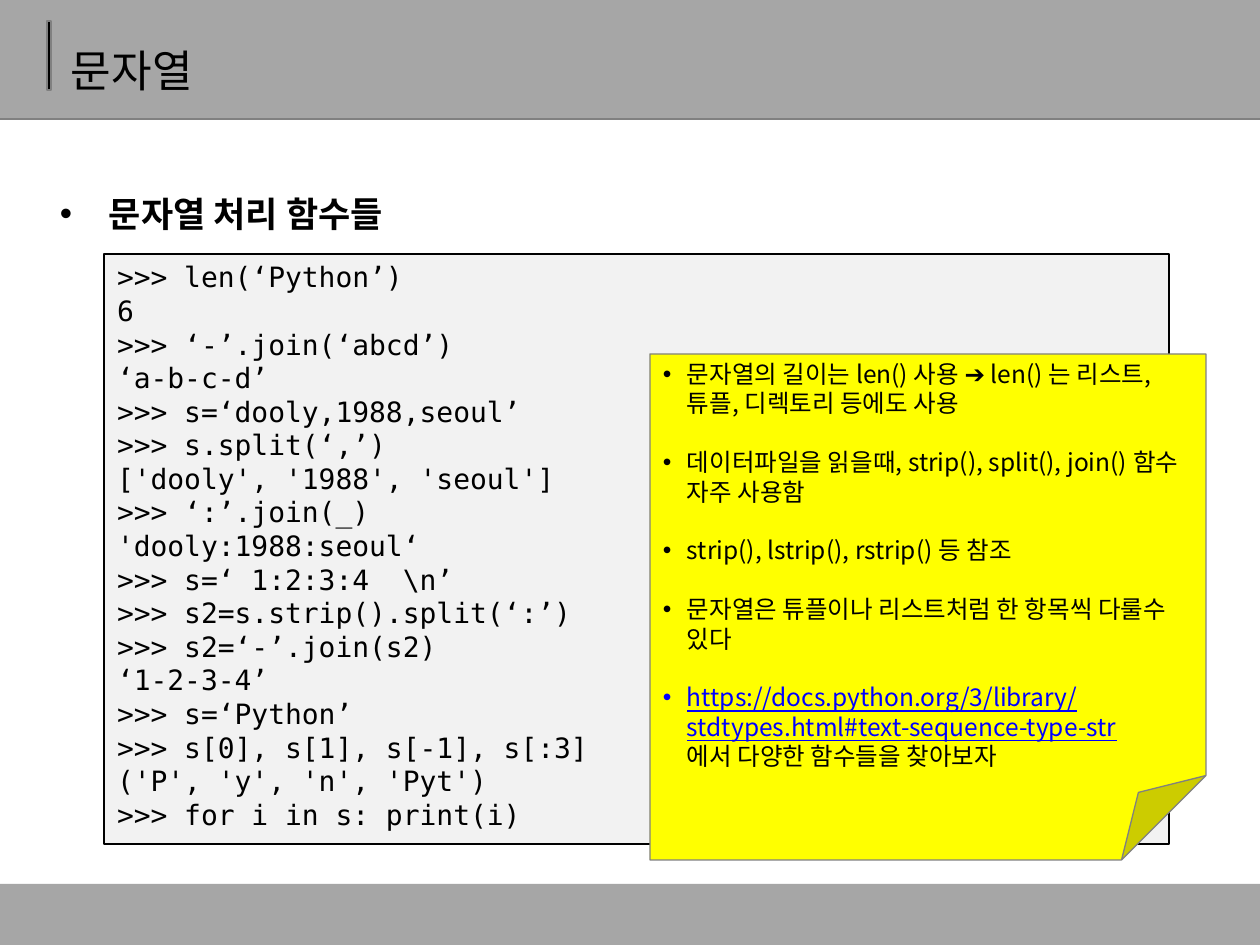
from dataclasses import dataclass
from typing import Optional

from lxml.etree import SubElement
from pptx import Presentation
from pptx.dml.color import RGBColor
from pptx.enum.shapes import MSO_CONNECTOR as Connector, MSO_SHAPE as Shape
from pptx.enum.text import MSO_ANCHOR as Anchor, PP_ALIGN as Align
from pptx.oxml.ns import qn
from pptx.util import Emu, Pt

BLACK = RGBColor(0x00, 0x00, 0x00)
WHITE = RGBColor(0xFF, 0xFF, 0xFF)
BAND_GRAY = RGBColor(0xA6, 0xA6, 0xA6)
LINE_GRAY = RGBColor(0x80, 0x80, 0x80)
CODE_GRAY = RGBColor(0xF2, 0xF2, 0xF2)
YELLOW = RGBColor(0xFF, 0xFF, 0x00)
LINK_BLUE = RGBColor(0x00, 0x00, 0xFF)

SANS = "Noto Sans CJK KR"
MONO = "DejaVu Sans Mono"
PX_PER_INCH = 126


@dataclass(frozen=True)
class Area:
    left: int
    top: int
    width: int
    height: int


@dataclass(frozen=True)
class Panel:
    kind: Shape
    area: Area
    fill: RGBColor
    line: Optional[RGBColor] = None


@dataclass(frozen=True)
class Style:
    font: str
    size: float
    spacing: float  # line height in points
    indent: int = 0  # hanging indent in px, with a bullet when set
    bold: bool = False


TITLE = Style(SANS, 25.2, 45)
HEADING = Style(SANS, 20, 48, indent=49, bold=True)
CODE = Style(MONO, 16, 19.2)
NOTE = Style(SANS, 14, 16.8, indent=24)

HEADER = Panel(Shape.RECTANGLE, Area(0, -1, 1260, 120), BAND_GRAY)
TITLE_BAR = Panel(Shape.RECTANGLE, Area(47, 21, 4, 69), BLACK, LINE_GRAY)
FOOTER = Panel(Shape.RECTANGLE, Area(0, 884, 1260, 61), BAND_GRAY)
CODE_PANEL = Panel(Shape.RECTANGLE, Area(104, 254, 1065, 590), CODE_GRAY, BLACK)
NOTE_PANEL = Panel(Shape.FOLDED_CORNER, Area(650, 354, 556, 506), YELLOW, LINE_GRAY)

CODE_LINES = [
    ">>> len(‘Python’)",
    "6",
    ">>> ‘-’.join(‘abcd’)",
    "‘a-b-c-d’",
    ">>> s=‘dooly,1988,seoul’",
    ">>> s.split(‘,’)",
    "['dooly', '1988', 'seoul']",
    ">>> ‘:’.join(_)",
    "'dooly:1988:seoul‘",
    ">>> s=‘ 1:2:3:4  \\n’",
    ">>> s2=s.strip().split(‘:’)",
    ">>> s2=‘-’.join(s2)",
    "‘1-2-3-4’",
    ">>> s=‘Python’",
    ">>> s[0], s[1], s[-1], s[:3]",
    "('P', 'y', 'n', 'Pyt')",
    ">>> for i in s: print(i)",
]
NOTE_LINES = [
    "문자열의 길이는 len() 사용 ➔ len() 는 리스트, 튜플, 디렉토리 등에도 사용",
    "데이터파일을 읽을때, strip(), split(), join() 함수 자주 사용함",
    "strip(), lstrip(), rstrip() 등 참조",
    "문자열은 튜플이나 리스트처럼 한 항목씩 다룰수 있다",
]
DOCS_URL = "https://docs.python.org/3/library/stdtypes.html#text-sequence-type-str"


def px(value: int) -> Emu:
    return Emu(round(value * 914400 / PX_PER_INCH))


def place(shape, area: Area) -> None:
    shape.left, shape.top = px(area.left), px(area.top)
    shape.width, shape.height = px(area.width), px(area.height)


def add_panel(page, panel: Panel):
    area = panel.area
    shape = page.shapes.add_shape(
        panel.kind, px(area.left), px(area.top), px(area.width), px(area.height))
    shape.shadow.inherit = False
    shape.fill.solid()
    shape.fill.fore_color.rgb = panel.fill
    if panel.line is None:
        shape.line.fill.background()
    else:
        shape.line.color.rgb = panel.line
        shape.line.width = Pt(0.75)
    return shape


def add_rule(page, y: int, length: int) -> None:
    rule = page.shapes.add_connector(Connector.STRAIGHT, 0, px(y), px(length), px(y))
    rule.line.color.rgb = LINE_GRAY
    rule.line.width = Pt(0.75)
    SubElement(rule.element.spPr, qn("a:effectLst"))


def prepare_frame(shape, anchor: Anchor):
    frame = shape.text_frame
    frame.word_wrap = True
    frame.vertical_anchor = anchor
    frame.margin_left = frame.margin_right = px(13)
    frame.margin_top = frame.margin_bottom = px(6)
    return frame


def add_span(para, text: str, style: Style, color: RGBColor = BLACK,
             underline: bool = False) -> None:
    span = para.add_run()
    span.text = text
    font = span.font
    font.name, font.size, font.bold = style.font, Pt(style.size), style.bold
    font.color.rgb = color
    font.underline = underline
    # East Asian characters take the same font
    SubElement(span._r.get_or_add_rPr(), qn("a:ea"), typeface=style.font)


def format_para(para, style: Style, gap: float = 0) -> None:
    if style.indent:
        props = para._p.get_or_add_pPr()
        props.set("marL", str(px(style.indent)))
        props.set("indent", str(-px(style.indent)))
        SubElement(props, qn("a:buFont"), typeface="Arial")
        SubElement(props, qn("a:buChar"), char="•")
    para.alignment = Align.LEFT
    para.line_spacing = Pt(style.spacing)
    para.space_before = Pt(0)
    para.space_after = Pt(gap)


def add_paras(frame, lines: list[str], style: Style, gap: float = 0) -> None:
    for index, line in enumerate(lines):
        para = frame.add_paragraph() if index else frame.paragraphs[0]
        format_para(para, style, gap)
        add_span(para, line, style)


def main() -> None:
    deck = Presentation()
    deck.slide_width, deck.slide_height = px(1260), px(945)
    page = deck.slides.add_slide(deck.slide_layouts[5])
    page.background.fill.solid()
    page.background.fill.fore_color.rgb = WHITE

    # Header and footer bands
    add_panel(page, HEADER)
    add_rule(page, 119, 1260)
    add_panel(page, TITLE_BAR)
    add_panel(page, FOOTER)

    # Title, brought in front of the header band
    title = page.shapes.title
    place(title, Area(58, 18, 1086, 78))
    title.element.getparent().append(title.element)
    add_paras(prepare_frame(title, Anchor.MIDDLE), ["문자열"], TITLE)

    # Section heading
    heading = page.shapes.add_textbox(px(47), px(145), px(1169), px(100))
    add_paras(prepare_frame(heading, Anchor.TOP), ["문자열 처리 함수들"], HEADING)

    # Interpreter session
    session = add_panel(page, CODE_PANEL)
    add_paras(prepare_frame(session, Anchor.TOP), CODE_LINES, CODE)

    # Sticky note, closing with the documentation address
    note = prepare_frame(add_panel(page, NOTE_PANEL), Anchor.MIDDLE)
    add_paras(note, NOTE_LINES, NOTE, gap=NOTE.spacing)
    para = note.add_paragraph()
    format_para(para, NOTE)
    add_span(para, DOCS_URL, NOTE, LINK_BLUE, underline=True)
    para.add_line_break()
    add_span(para, "에서 다양한 함수들을 찾아보자", NOTE)

    deck.save("out.pptx")


if __name__ == "__main__":
    main()
